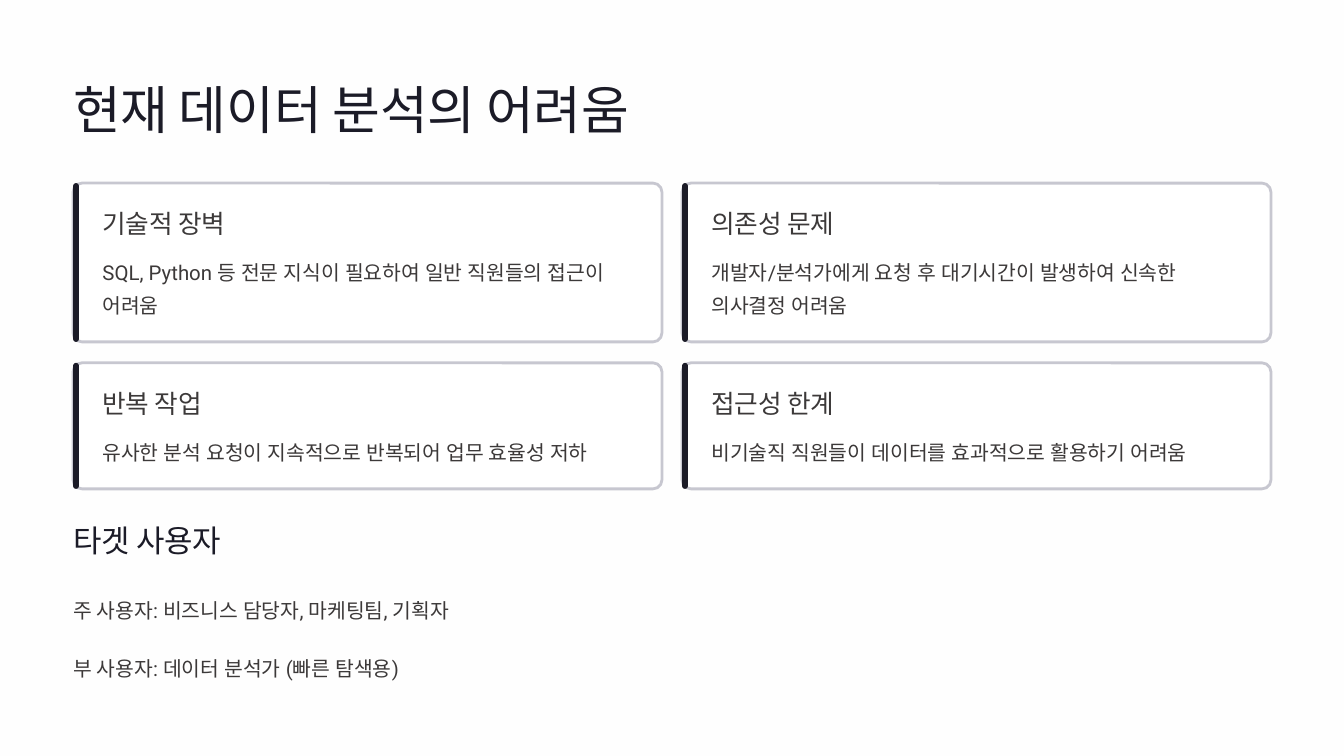
from lxml.etree import SubElement
from pptx import Presentation
from pptx.dml.color import RGBColor
from pptx.enum.shapes import MSO_SHAPE
from pptx.enum.text import MSO_ANCHOR, MSO_AUTO_SIZE, PP_ALIGN
from pptx.oxml.ns import qn
from pptx.util import Inches, Pt

COLORS = {"page": "FEFEFE", "card": "FFFFFF", "border": "C7C7D0",
          "dark": "1B1B27", "text": "3C3939"}
LEFT = 0.87


def write(box, lines, size, spacing, font, color, gap=0):
    """Fill a text box or placeholder with unbulleted, left-aligned lines."""
    frame = box.text_frame
    frame.word_wrap = True
    frame.auto_size = MSO_AUTO_SIZE.NONE
    frame.vertical_anchor = MSO_ANCHOR.TOP
    frame.margin_left = frame.margin_right = 0
    frame.margin_top = frame.margin_bottom = 0
    for index, line in enumerate(lines):
        para = frame.add_paragraph() if index else frame.paragraphs[0]
        para.alignment = PP_ALIGN.LEFT
        para.line_spacing = Pt(spacing)
        para.space_before = Pt(0)
        para.space_after = Pt(gap)
        properties = para._p.get_or_add_pPr()
        properties.set("marL", "0")
        properties.set("indent", "0")
        SubElement(properties, qn("a:buNone"))
        span = para.add_run()
        span.text = line
        span.font.size = Pt(size)
        span.font.color.rgb = RGBColor.from_string(COLORS[color])
        span.font.name = font
        SubElement(span._r.get_or_add_rPr(), qn("a:ea"), typeface=font)


def place(box, left, top, width, height):
    box.left, box.top = Inches(left), Inches(top)
    box.width, box.height = Inches(width), Inches(height)


deck = Presentation()
deck.slide_width, deck.slide_height = Inches(16), Inches(9)
page = deck.slides.add_slide(deck.slide_layouts[1])
page.background.fill.solid()
page.background.fill.fore_color.rgb = RGBColor.from_string(COLORS["page"])

# Title
title = page.shapes.title
place(title, LEFT, 0.9, 14.26, 0.78)
write(title, ["현재 데이터 분석의 어려움"], 44.5, 55.5, "Manrope", "dark")

# Difficulty cards: two rows of two
rows = [
    (2.18, 1.89, [
        ("기술적 장벽", "SQL, Python 등 전문 지식이 필요하여 일반 직원들의 접근이 어려움"),
        ("의존성 문제", "개발자/분석가에게 요청 후 대기시간이 발생하여 신속한 의사결정 어려움")]),
    (4.32, 1.5, [
        ("반복 작업", "유사한 분석 요청이 지속적으로 반복되어 업무 효율성 저하"),
        ("접근성 한계", "비기술직 직원들이 데이터를 효과적으로 활용하기 어려움")]),
]
for top, height, cards in rows:
    for column, (heading, detail) in enumerate(cards):
        left = LEFT + column * 7.25

        # Outlined card and its accent bar
        card = page.shapes.add_shape(MSO_SHAPE.ROUNDED_RECTANGLE, Inches(left),
                                     Inches(top), Inches(7.01), Inches(height))
        card.adjustments[0] = 0.105 / height
        card.line.color.rgb = RGBColor.from_string(COLORS["border"])
        card.line.width = Pt(2.4)
        bar = page.shapes.add_shape(MSO_SHAPE.ROUNDED_RECTANGLE, Inches(left),
                                    Inches(top), Inches(0.07), Inches(height))
        bar.adjustments[0] = 0.5
        bar.line.fill.background()
        for shape, color in ((card, "card"), (bar, "dark")):
            shape.shadow.inherit = False
            shape.fill.solid()
            shape.fill.fore_color.rgb = RGBColor.from_string(COLORS[color])

        # Card text
        heading_box = page.shapes.add_textbox(
            Inches(left + 0.35), Inches(top + 0.28), Inches(3.1), Inches(0.39))
        write(heading_box, [heading], 22, 27.5, "Manrope", "text")
        detail_box = page.shapes.add_textbox(
            Inches(left + 0.35), Inches(top + 0.81), Inches(6.38), Inches(height - 1.1))
        write(detail_box, [detail], 17.5, 28.5, "Roboto", "text")

# Target users
users_heading = page.shapes.add_textbox(
    Inches(LEFT), Inches(6.19), Inches(3.72), Inches(0.47))
write(users_heading, ["타겟 사용자"], 26.5, 33, "Manrope", "dark")

users = page.placeholders[1]
place(users, LEFT, 7.02, 14.26, 1.08)
write(users, ["주 사용자: 비즈니스 담당자, 마케팅팀, 기획자",
              "부 사용자: 데이터 분석가 (빠른 탐색용)"],
      17.5, 28.5, "Roboto", "text", gap=20.5)

deck.save("out.pptx")
